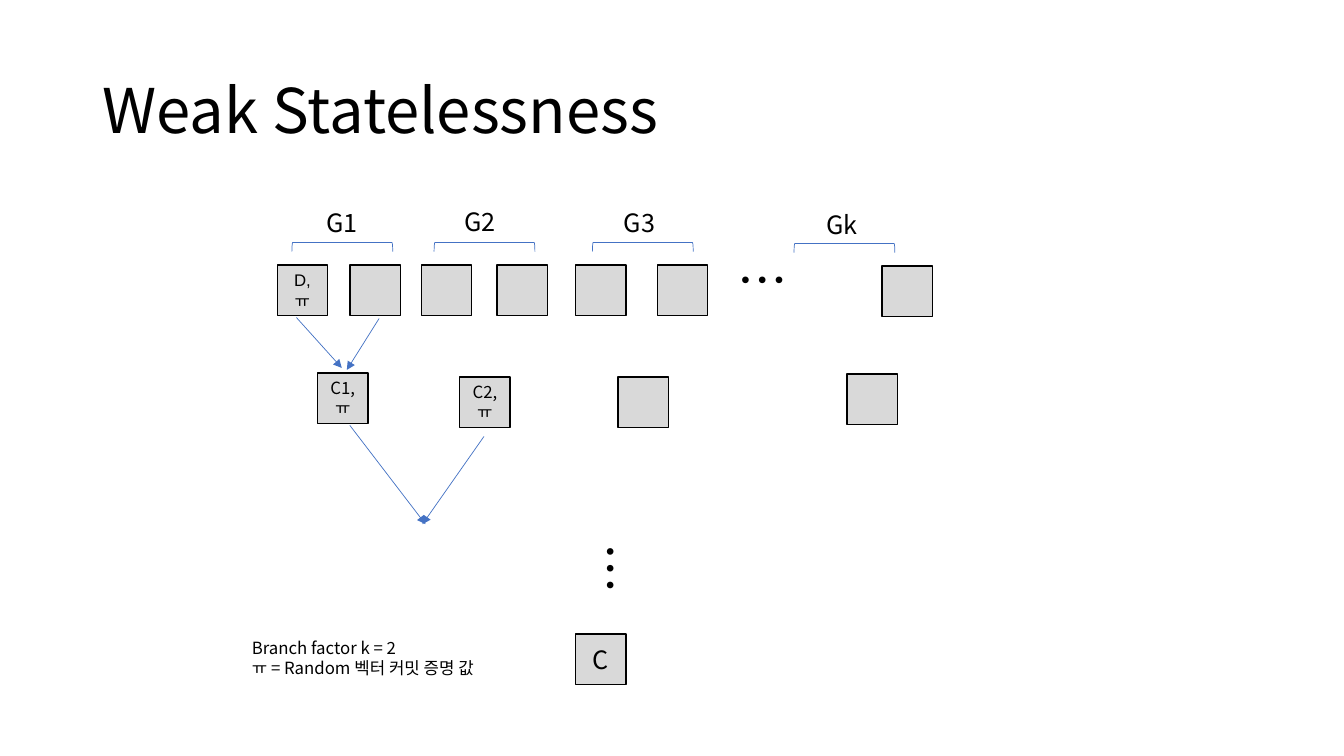
import pptx
import pptx.util
import pptx.dml.color
import pptx.enum.shapes
import pptx.enum.text
import pptx.oxml.ns
from dataclasses import dataclass
from lxml import etree

PX = 9144
SLIDE_SIZE = (1333, 750)
SIDE = 50
BRACKET_SIZE = (9, 100)
LABEL_HEIGHT = 40
DOTS_SIZE = (73, 71)

TITLE = ("Weak Statelessness", 92, 40, 1150, 145)
NOTE = ("Branch factor k = 2\nㅠ = Random 벡터 커밋 증명 값", 240, 628, 300, 50)

LEAVES = [("D,ㅠ", 275, 263), ("", 347, 263), ("", 418, 263), ("", 493, 263),
          ("", 571, 263), ("", 652, 263), ("", 875, 264)]
COMMITMENTS = [("C1,ㅠ", 315, 370), ("C2,ㅠ", 456, 374), ("", 613, 374), ("", 840, 371)]
ROOT = ("C", 571, 629)

GROUPS = [("G1", 314, 201, 57), ("G2", 451, 200, 61),
          ("G3", 609, 201, 58), ("Gk", 810, 203, 55)]
BRACKETS = [(335, 195), (476, 195), (633, 195), (833, 196)]
DOTS = [(722, 242, 0), (570, 530, 90)]
ARROWS = [((294, 315), (339, 365)), ((376, 316), (344, 367)),
          ((347, 422), (422, 520)), ((480, 433), (419, 520))]


@dataclass(frozen=True)
class Theme:
    font: str = "Noto Sans CJK KR"
    leaf_font: str = "Arial"
    ink: str = "000000"
    box: str = "D9D9D9"
    accent: str = "4472C4"
    title: int = 44
    dots: int = 36
    label: int = 18
    small: int = 12
    box_line: float = 1
    thin_line: float = 0.5


theme = Theme()
MIDDLE = pptx.enum.text.MSO_ANCHOR.MIDDLE
CENTER = pptx.enum.text.PP_ALIGN.CENTER
GROW = pptx.enum.text.MSO_AUTO_SIZE.SHAPE_TO_FIT_TEXT


def scaled(*lengths):
    return [pptx.util.Emu(length * PX) for length in lengths]


def color(value):
    return pptx.dml.color.RGBColor.from_string(value)


def apply(target, values):
    for name, value in values.items():
        setattr(target, name, value)


def set_line(shape, line_color, width):
    shape.line.color.rgb = color(line_color)
    shape.line.width = pptx.util.Pt(width)


def write(shape, text, size, font=theme.font, frame_format=None, paragraph_format=None):
    frame = shape.text_frame
    apply(frame, {"word_wrap": True, **(frame_format or {})})
    frame.text = text
    for paragraph in frame.paragraphs:
        apply(paragraph, paragraph_format or {})
        for run in paragraph.runs:
            apply(run.font, {"name": font, "size": pptx.util.Pt(size)})
            run.font.color.rgb = color(theme.ink)
            east_asian = etree.SubElement(run.font._element, pptx.oxml.ns.qn("a:ea"))
            east_asian.set("typeface", theme.font)


def add_text(slide, text, bounds, size, rotation=0, frame_format=None, paragraph_format=None):
    shape = slide.shapes.add_textbox(*scaled(*bounds))
    shape.rotation = rotation
    write(shape, text, size, frame_format=frame_format or {"auto_size": GROW},
          paragraph_format=paragraph_format)


def add_box(slide, text, left, top, size=theme.small, font=theme.font):
    shape = slide.shapes.add_shape(pptx.enum.shapes.MSO_SHAPE.RECTANGLE,
                                   *scaled(left, top, SIDE, SIDE))
    shape.shadow.inherit = False
    shape.fill.solid()
    shape.fill.fore_color.rgb = color(theme.box)
    set_line(shape, theme.ink, theme.box_line)
    if text:
        write(shape, text, size, font, {"vertical_anchor": MIDDLE}, {"alignment": CENTER})


def add_bracket(slide, left, top):
    shape = slide.shapes.add_shape(pptx.enum.shapes.MSO_SHAPE.LEFT_BRACKET,
                                   *scaled(left, top, *BRACKET_SIZE))
    shape.rotation = 90
    shape.shadow.inherit = False
    shape.fill.background()
    set_line(shape, theme.accent, theme.thin_line)


def add_arrow(slide, start, end):
    connector = slide.shapes.add_connector(pptx.enum.shapes.MSO_CONNECTOR.STRAIGHT,
                                           *scaled(*start, *end))
    set_line(connector, theme.accent, theme.thin_line)
    head = etree.SubElement(connector.line._get_or_add_ln(), pptx.oxml.ns.qn("a:tailEnd"))
    head.set("type", "triangle")
    etree.SubElement(connector._element.spPr, pptx.oxml.ns.qn("a:effectLst"))


def main():
    presentation = pptx.Presentation()
    width, height = scaled(*SLIDE_SIZE)
    apply(presentation, {"slide_width": width, "slide_height": height})
    slide = presentation.slides.add_slide(presentation.slide_layouts[6])

    add_text(slide, TITLE[0], TITLE[1:], theme.title,
             frame_format={"vertical_anchor": MIDDLE}, paragraph_format={"line_spacing": 0.9})
    for leaf in LEAVES:
        add_box(slide, *leaf, font=theme.leaf_font)
    for bracket in BRACKETS:
        add_bracket(slide, *bracket)
    for label, left, top, label_width in GROUPS:
        add_text(slide, label, (left, top, label_width, LABEL_HEIGHT), theme.label)
    for commitment in COMMITMENTS:
        add_box(slide, *commitment)
    for arrow in ARROWS:
        add_arrow(slide, *arrow)
    for left, top, rotation in DOTS:
        add_text(slide, "…", (left, top, *DOTS_SIZE), theme.dots, rotation)
    add_box(slide, *ROOT, size=theme.label)
    add_text(slide, NOTE[0], NOTE[1:], theme.small)

    presentation.save("out.pptx")


if __name__ == "__main__":
    main()
